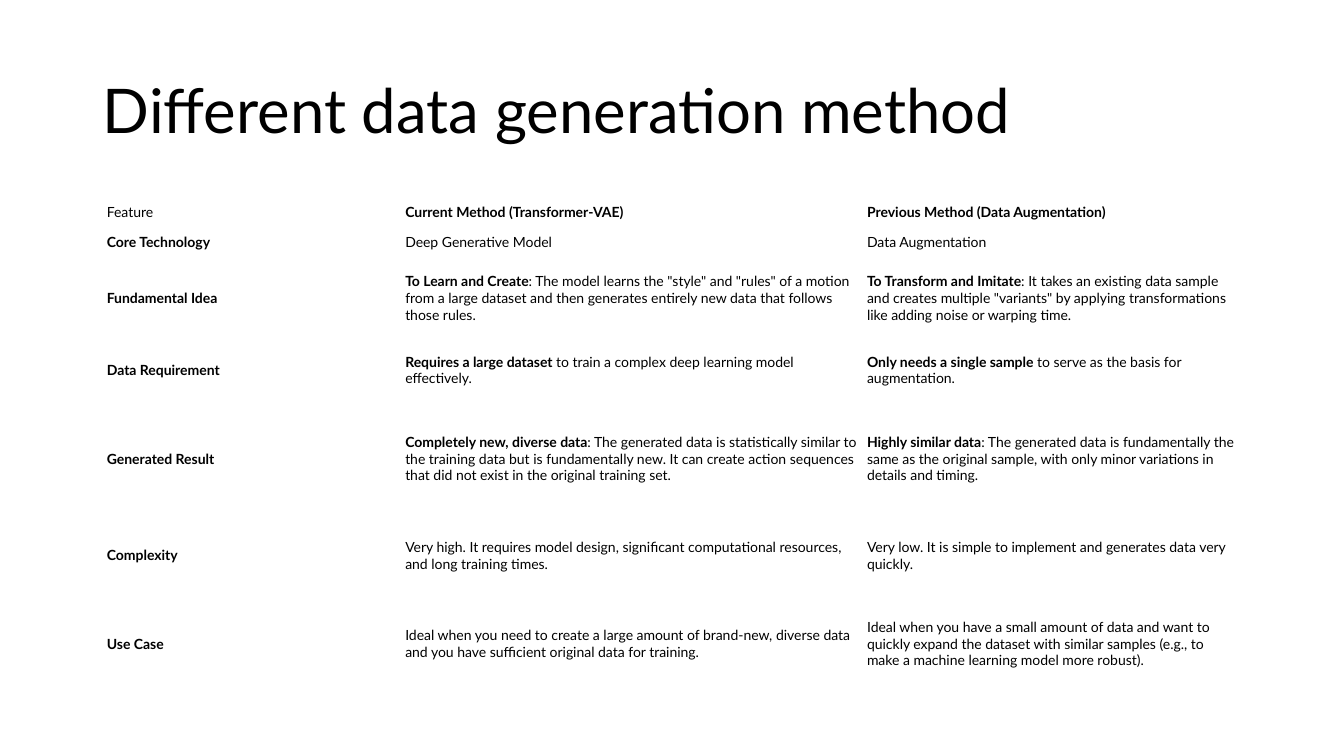
import pptx
import pptx.util
import pptx.dml.color
import pptx.enum.text
from pptx.util import Inches, Pt

COLORS = {"text": "000000", "background": "FFFFFF"}
FONT = "Lato"
MIDDLE = pptx.enum.text.MSO_ANCHOR.MIDDLE

column_widths = [2.96, 4.58, 3.77]
row_heights = [0.38, 0.22, 0.88, 0.55, 1.21, 0.71, 1.04]

# Each cell holds its bold lead and the regular text after it.
comparison = [
    [("", "Feature"),
     ("Current Method (Transformer-VAE)", ""),
     ("Previous Method (Data Augmentation)", "")],
    [("Core Technology", ""),
     ("", "Deep Generative Model"),
     ("", "Data Augmentation")],
    [("Fundamental Idea", ""),
     ("To Learn and Create",
      ': The model learns the "style" and "rules" of a motion from a large dataset '
      "and then generates entirely new data that follows those rules."),
     ("To Transform and Imitate",
      ': It takes an existing data sample and creates multiple "variants" by applying '
      "transformations like adding noise or warping time.")],
    [("Data Requirement", ""),
     ("Requires a large dataset",
      " to train a complex deep learning model effectively."),
     ("Only needs a single sample",
      " to serve as the basis for augmentation.")],
    [("Generated Result", ""),
     ("Completely new, diverse data",
      ": The generated data is statistically similar to the training data but is "
      "fundamentally new. It can create action sequences that did not exist in the "
      "original training set."),
     ("Highly similar data",
      ": The generated data is fundamentally the same as the original sample, with "
      "only minor variations in details and timing.")],
    [("Complexity", ""),
     ("", "Very high. It requires model design, significant computational resources, "
          "and long training times."),
     ("", "Very low. It is simple to implement and generates data very quickly.")],
    [("Use Case", ""),
     ("", "Ideal when you need to create a large amount of brand-new, diverse data "
          "and you have sufficient original data for training."),
     ("", "Ideal when you have a small amount of data and want to quickly expand the "
          "dataset with similar samples (e.g., to make a machine learning model more "
          "robust).")],
]


def style_font(font, size):
    font.name = FONT
    font.size = Pt(size)
    font.color.rgb = pptx.dml.color.RGBColor.from_string(COLORS["text"])


deck = pptx.Presentation()
deck.slide_width = Inches(13.33)
deck.slide_height = Inches(7.5)
slide = deck.slides.add_slide(deck.slide_layouts[5])
slide.background.fill.solid()
slide.background.fill.fore_color.rgb = pptx.dml.color.RGBColor.from_string(COLORS["background"])

title = slide.shapes.title
title.left, title.top = Inches(0.92), Inches(0.4)
title.width, title.height = Inches(11.5), Inches(1.45)
title.text_frame.text = "Different data generation method"
title.text_frame.auto_size = pptx.enum.text.MSO_AUTO_SIZE.NONE
title.text_frame.vertical_anchor = MIDDLE
heading = title.text_frame.paragraphs[0]
heading.alignment = pptx.enum.text.PP_ALIGN.LEFT
heading.line_spacing = 0.9
style_font(heading.font, 44)

methods = slide.shapes.add_table(
    len(row_heights), len(column_widths),
    Inches(1.01), Inches(1.91), Inches(sum(column_widths)), Inches(sum(row_heights)),
).table
methods.first_row = False
methods.horz_banding = False
for column, width in zip(methods.columns, column_widths):
    column.width = Inches(width)

for row, height, entries in zip(methods.rows, row_heights, comparison):
    row.height = Inches(height)
    for cell, (lead, detail) in zip(row.cells, entries):
        cell.fill.background()
        cell.vertical_anchor = MIDDLE
        cell.margin_left = cell.margin_right = Inches(0.05)
        cell.margin_top = cell.margin_bottom = Inches(0.03)
        paragraph = cell.text_frame.paragraphs[0]
        style_font(paragraph.font, 10)
        for text, bold in ((lead, True), (detail, False)):
            if text:
                run = paragraph.add_run()
                run.text = text
                run.font.bold = bold
                style_font(run.font, 10)

deck.save("out.pptx")
